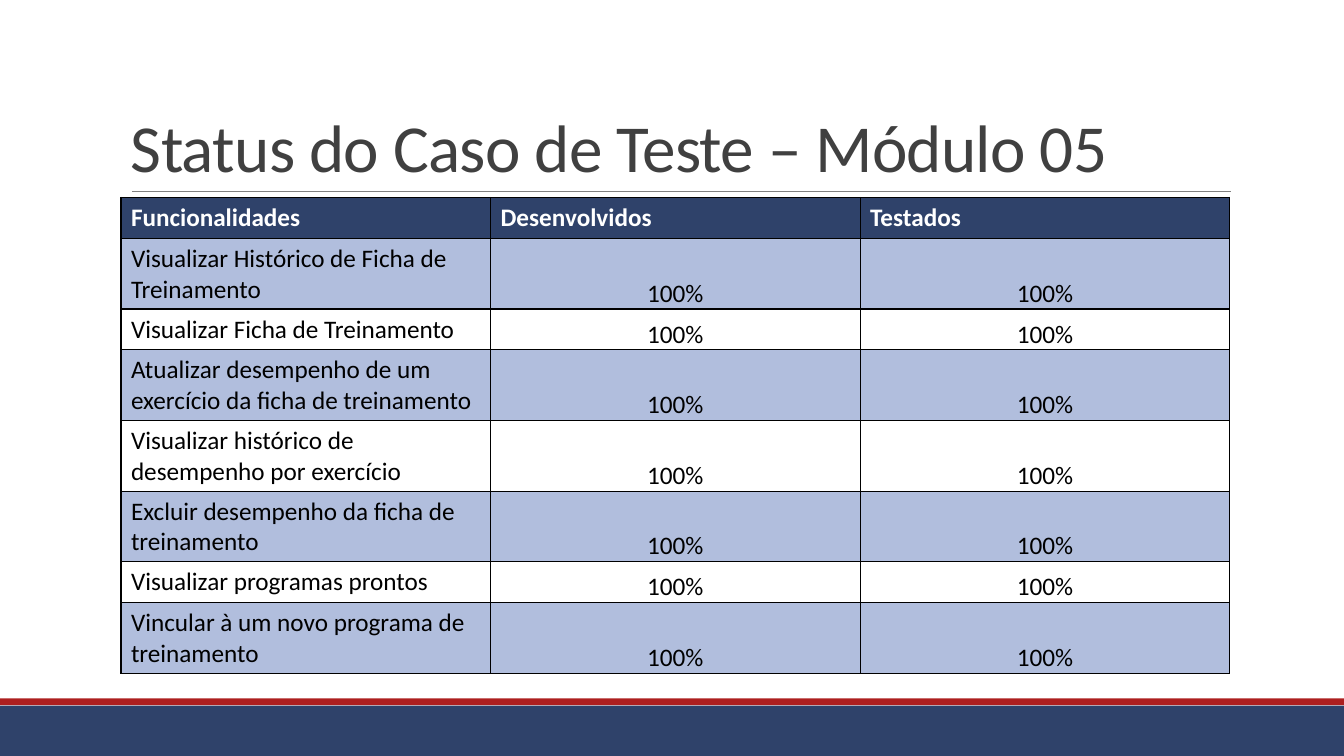
from dataclasses import dataclass

from lxml.etree import SubElement
from pptx import Presentation
from pptx.dml.color import RGBColor
from pptx.enum.shapes import MSO_CONNECTOR, MSO_SHAPE
from pptx.enum.text import MSO_ANCHOR, PP_ALIGN
from pptx.oxml.ns import qn
from pptx.util import Pt

FONT = "Calibri"
NAVY, RED, PALE = "2F426A", "AD1F1F", "B1BEDD"
WHITE, BLACK, DARK, GREY = "FFFFFF", "000000", "404040", "808080"
LEFT, WIDTH = 86.4, 792


@dataclass
class Band:
    top: float
    height: float
    color: str


@dataclass
class Style:
    size: float
    color: str
    bold: bool = False


BANDS = [Band(504, 36, NAVY), Band(498.8, 4.8, RED)]
HEADS = ["Funcionalidades", "Desenvolvidos", "Testados"]
TASKS = [
    "Visualizar Histórico de Ficha de Treinamento",
    "Visualizar Ficha de Treinamento",
    "Atualizar desempenho de um exercício da ficha de treinamento",
    "Visualizar histórico de desempenho por exercício",
    "Excluir desempenho da ficha de treinamento",
    "Visualizar programas prontos",
    "Vincular à um novo programa de treinamento",
]
ROWS = [HEADS] + [[task, "100%", "100%"] for task in TASKS]


def rgb(code: str) -> RGBColor:
    return RGBColor.from_string(code)


def add_run(par, text: str, style: Style):
    run = par.add_run()
    run.text = text
    font = run.font
    font.name, font.size, font.bold = FONT, Pt(style.size), style.bold
    font.color.rgb = rgb(style.color)
    return run


def add_band(slide, band: Band) -> None:
    shape = slide.shapes.add_shape(
        MSO_SHAPE.RECTANGLE, 0, Pt(band.top), Pt(960), Pt(band.height))
    shape.shadow.inherit = False
    shape.fill.solid()
    shape.fill.fore_color.rgb = rgb(band.color)
    shape.line.fill.background()


def add_rule(slide) -> None:
    line = slide.shapes.add_connector(
        MSO_CONNECTOR.STRAIGHT, Pt(94.3), Pt(136.8), Pt(879), Pt(136.8))
    line.line.color.rgb = rgb(GREY)
    line.line.width = Pt(0.5)
    SubElement(line._element.spPr, qn("a:effectLst"))


def add_title(slide, text: str) -> None:
    frame = slide.shapes.add_textbox(
        Pt(LEFT), Pt(22.3), Pt(WIDTH), Pt(114.5)).text_frame
    frame.word_wrap = True
    frame.vertical_anchor = MSO_ANCHOR.BOTTOM
    par = frame.paragraphs[0]
    par.line_spacing = 0.85
    run = add_run(par, text, Style(48, DARK))
    run.font._element.set("spc", "-50")


def add_edges(cell) -> None:
    props = cell._tc.get_or_add_tcPr()
    for spot, side in enumerate(("lnL", "lnR", "lnT", "lnB")):
        edge = props.makeelement(qn(f"a:{side}"), {"w": str(Pt(1))})
        props.insert(spot, edge)
        fill = SubElement(edge, qn("a:solidFill"))
        SubElement(fill, qn("a:srgbClr"), val=BLACK)


def fill_cell(cell, text: str, row: int, col: int) -> None:
    head = row == 0
    cell.fill.solid()
    cell.fill.fore_color.rgb = rgb(NAVY if head else PALE if row % 2 else WHITE)
    par = cell.text_frame.paragraphs[0]
    add_run(par, text, Style(18, WHITE if head else BLACK, head))
    if not head and col > 0:
        par.alignment = PP_ALIGN.CENTER
        cell.vertical_anchor = MSO_ANCHOR.BOTTOM
        cell.margin_left = cell.margin_right = cell.margin_top = Pt(0.75)
        cell.margin_bottom = 0
    add_edges(cell)


def add_grid(slide, rows: list[list[str]]) -> None:
    high = 29.2
    table = slide.shapes.add_table(
        len(rows), len(HEADS), Pt(LEFT), Pt(141.1),
        Pt(WIDTH), Pt(high * len(rows))).table
    for line in table.rows:
        line.height = Pt(high)
    for row, texts in enumerate(rows):
        for col, text in enumerate(texts):
            fill_cell(table.cell(row, col), text, row, col)


def main() -> None:
    deck = Presentation()
    deck.slide_width, deck.slide_height = Pt(960), Pt(540)
    slide = deck.slides.add_slide(deck.slide_layouts[6])

    # Footer bands and title rule
    for band in BANDS:
        add_band(slide, band)
    add_rule(slide)

    # Title and status table
    add_title(slide, "Status do Caso de Teste – Módulo 05")
    add_grid(slide, ROWS)
    deck.save("out.pptx")


if __name__ == "__main__":
    main()
